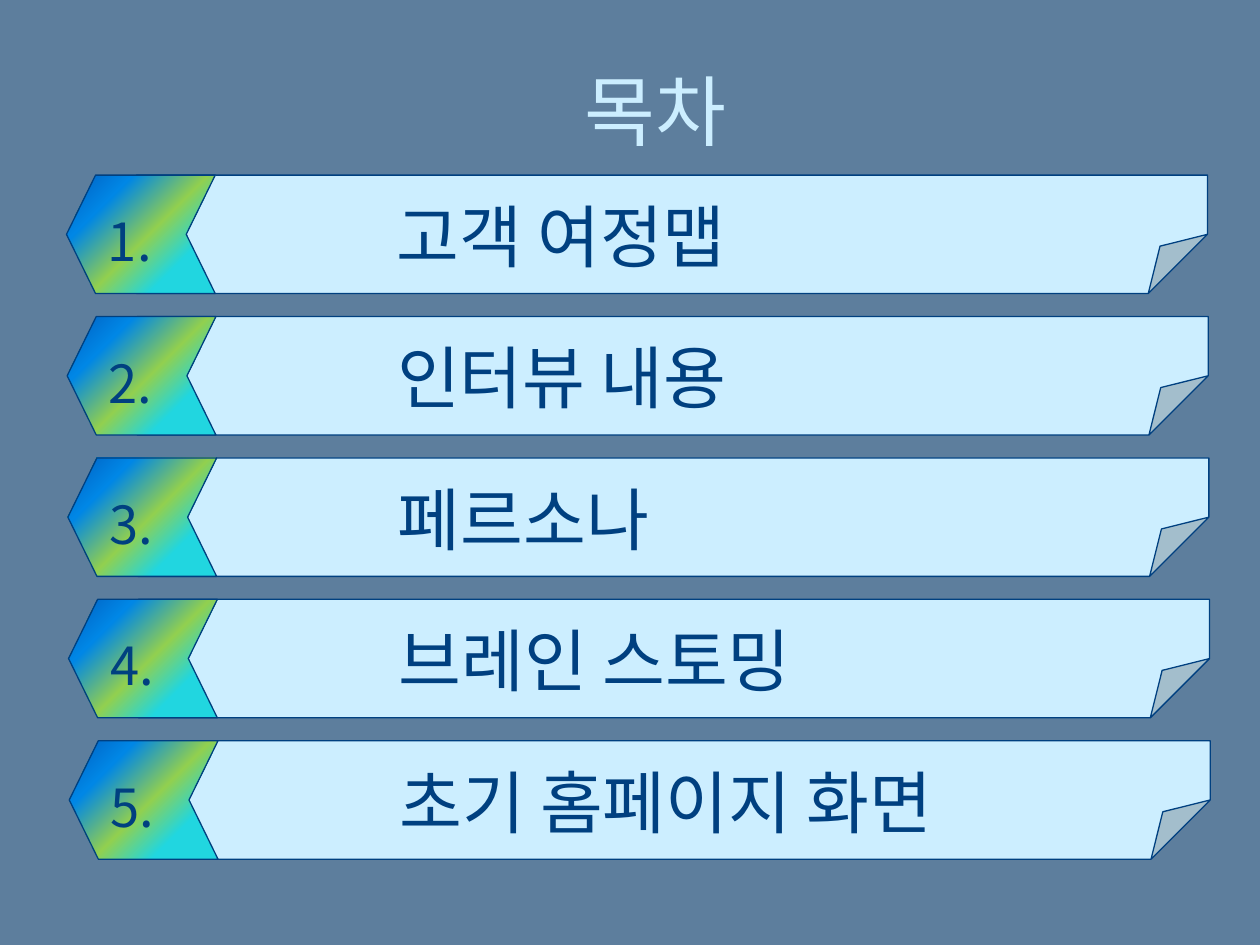
"""Build a table-of-contents slide with five numbered ribbons."""
from dataclasses import dataclass

from lxml import etree
from pptx import Presentation
from pptx.dml.color import RGBColor
from pptx.enum import shapes, text
from pptx.oxml import ns
from pptx.util import Pt

FONT = "Noto Sans CJK KR"
BACKGROUND, PALE, NAVY = "5D7E9D", "CCEEFF", "004080"
BADGE_STOPS = ((25, "21D6E0"), (47, "92D050"), (75, "0087E6"), (100, "005CBF"))
ENTRIES = ("고객 여정맵", "인터뷰 내용", "페르소나", "브레인 스토밍", "초기 홈페이지 화면")
FIRST_LEFT, FIRST_TOP = 38, 100.1
STEP_X, STEP_Y = 0.4, 80.8
BAR_HEIGHT = 67.7


@dataclass
class Entry:
    """A numbered ribbon and its corner, in points."""
    number: int
    title: str
    left: float
    top: float


def color(value: str) -> RGBColor:
    """Turn a hex string into a colour."""
    return RGBColor.from_string(value)


def write(frame, words: str, size: float, ink: str, align=text.PP_ALIGN.LEFT) -> None:
    """Put one formatted paragraph into a text frame."""
    frame.text = words
    para = frame.paragraphs[0]
    para.alignment = align
    para.line_spacing = 0.9
    para.font.size = Pt(size)
    para.font.name = FONT
    para.font.color.rgb = color(ink)
    properties = para._p.pPr.find(ns.qn("a:defRPr"))
    etree.SubElement(properties, ns.qn("a:ea"), typeface=FONT)


def add_outlined(group, kind, left: float, top: float, width: float, adjustment: float):
    """Add a ribbon part with a thin navy outline."""
    shape = group.shapes.add_shape(kind, Pt(left), Pt(top), Pt(width), Pt(BAR_HEIGHT))
    guides = shape._element.spPr.find(ns.qn("a:prstGeom")).find(ns.qn("a:avLst"))
    for guide in list(guides):
        guides.remove(guide)
    etree.SubElement(guides, ns.qn("a:gd"), name="adj",
                     fmla=f"val {round(adjustment * 100000)}")
    shape.shadow.inherit = False
    shape.line.color.rgb = color(NAVY)
    shape.line.width = Pt(0.75)
    return shape


def fill_badge(badge) -> None:
    """Give the badge its four-stop diagonal gradient."""
    badge.fill.gradient()
    badge.fill.gradient_angle = 45
    stops = badge._element.spPr.find(ns.qn("a:gradFill")).find(ns.qn("a:gsLst"))
    for stop in list(stops):
        stops.remove(stop)
    for position, value in BADGE_STOPS:
        stop = etree.SubElement(stops, ns.qn("a:gs"), pos=str(position * 1000))
        etree.SubElement(stop, ns.qn("a:srgbClr"), val=value)


def add_entry(page, entry: Entry) -> None:
    """Draw one ribbon as a group of bar, badge and label."""
    group = page.shapes.add_group_shape()
    bar = add_outlined(group, shapes.MSO_SHAPE.FOLDED_CORNER,
                       entry.left + 40, entry.top, 612, 0.5)
    bar.fill.solid()
    bar.fill.fore_color.rgb = color(PALE)

    badge = add_outlined(group, shapes.MSO_SHAPE.CHEVRON,
                         entry.left, entry.top, 85, 0.245)
    badge._element.spPr.xfrm.set("flipH", "1")
    fill_badge(badge)
    frame = badge.text_frame
    frame.vertical_anchor = text.MSO_ANCHOR.TOP
    frame.margin_top = Pt(23.5)
    frame.margin_bottom = Pt(0)
    write(frame, f"{entry.number}.", 30, NAVY)

    label = group.shapes.add_textbox(Pt(entry.left + 181.5), Pt(entry.top + 12.7),
                                     Pt(374.4), Pt(54.7))
    label.text_frame.word_wrap = True
    write(label.text_frame, entry.title, 39, NAVY)


def main() -> None:
    """Build and save the deck."""
    deck = Presentation()
    deck.slide_width, deck.slide_height = Pt(720), Pt(540)
    page = deck.slides.add_slide(deck.slide_layouts[5])
    page.background.fill.solid()
    page.background.fill.fore_color.rgb = color(BACKGROUND)

    title = page.shapes.title
    title.left, title.top, title.width, title.height = Pt(93.6), Pt(21), Pt(562.4), Pt(90)
    title.text_frame.vertical_anchor = text.MSO_ANCHOR.MIDDLE
    write(title.text_frame, "목차", 44, PALE, text.PP_ALIGN.CENTER)

    for index, words in enumerate(ENTRIES):
        add_entry(page, Entry(index + 1, words, FIRST_LEFT + index * STEP_X,
                              FIRST_TOP + index * STEP_Y))
    deck.save("out.pptx")


if __name__ == "__main__":
    main()
